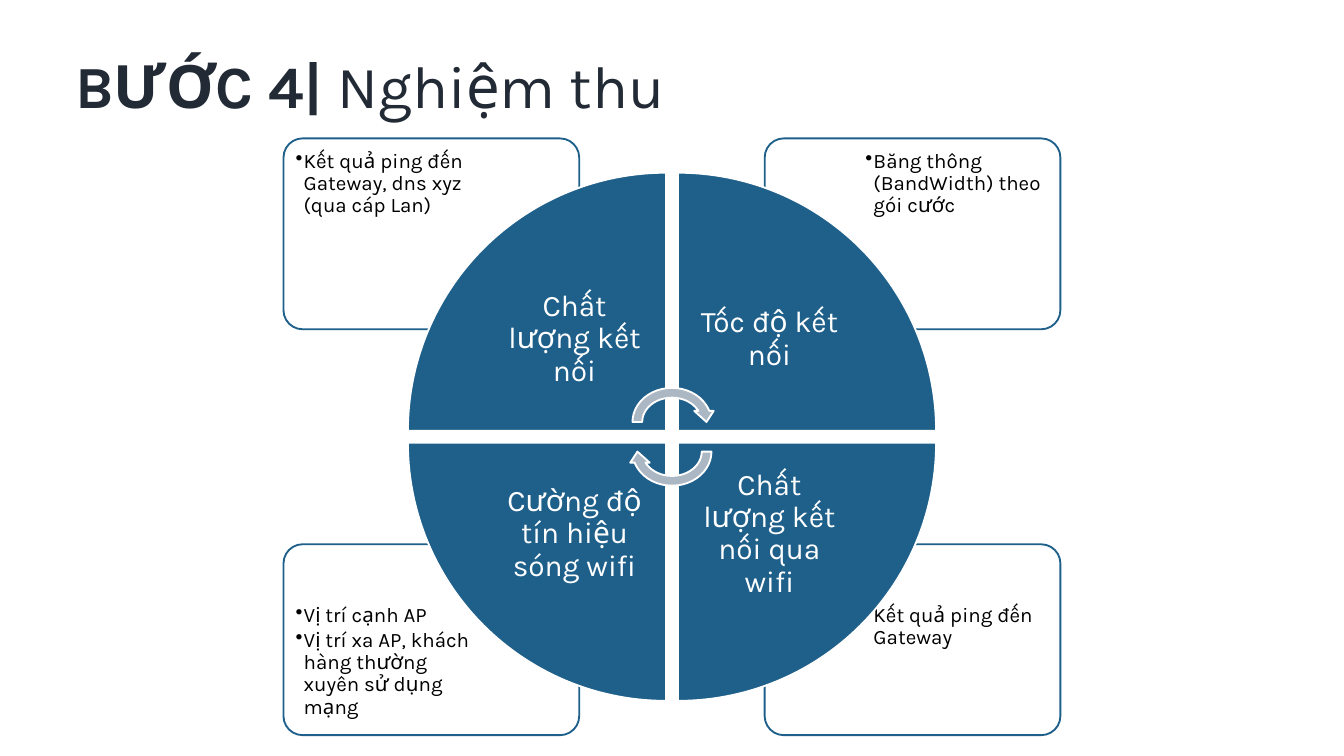
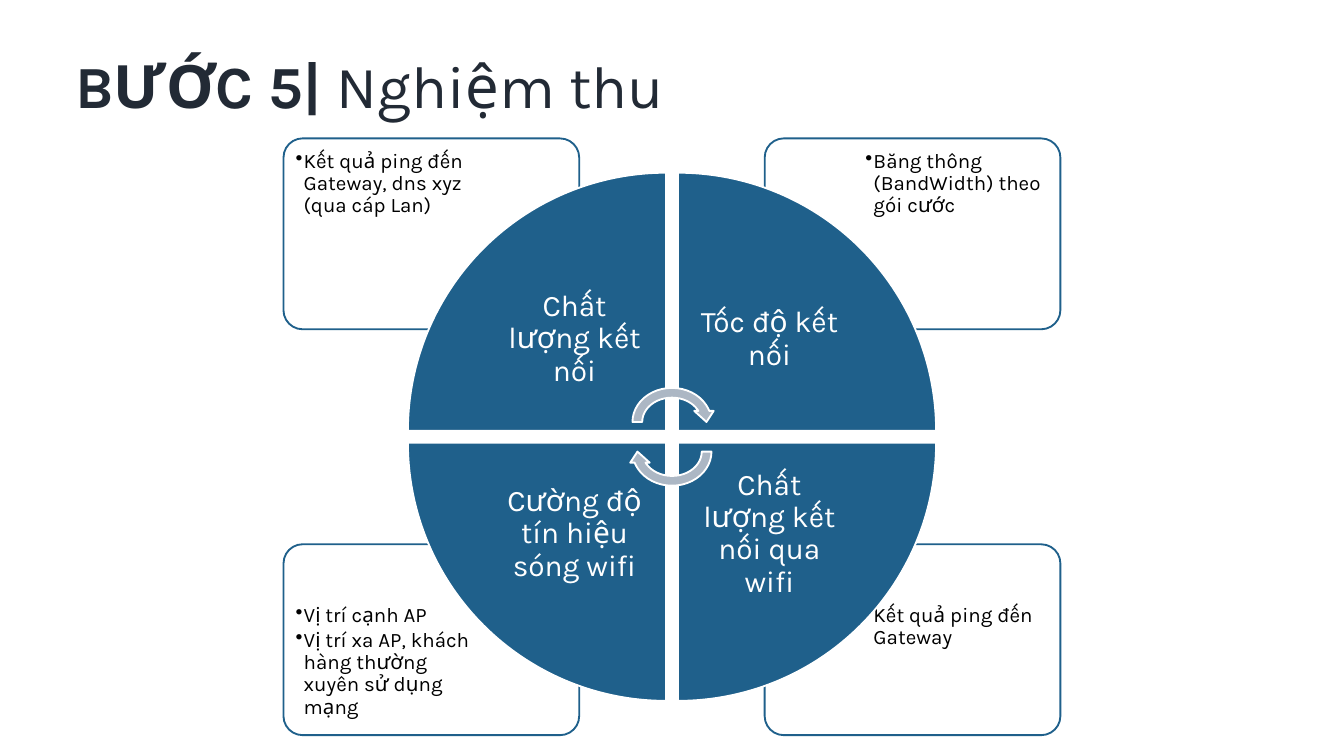
from lxml import etree
from pptx import Presentation
from pptx import util as u
from pptx.dml.color import RGBColor
from pptx.enum import shapes, text
from pptx.oxml.ns import qn

PX = 4572
SLIDE_SIZE = (2000, 1125)
TITLE_BOX = (92, 62, 1816, 128)
DIAGRAM_BOX = (422, 206, 1156, 888)
CARD_SIZE = (440, 284)
NOTE_SIZE = (294, 200)
NOTE_LEFTS, NOTE_TOPS = (6, 138), (6, 78)
WEDGE_SIZE, WEDGE_GAP, LABEL_SIZE = 384, 18, 272
ARROW_SIZE, ARROW_SHIFT = (132, 116), 22
NOTE_INSET, LABEL_INSET, BULLET_INDENT = 12, 24, 12

BLUE, WHITE, GREY, INK, BLACK = "1F608B", "FFFFFF", "ACB7C4", "222A35", "000000"
TITLE_FONT = {"name": "Karla", "size": u.Pt(32)}
LABEL_FONT = {"name": "Karla", "size": u.Pt(16)}
NOTE_FONT = {"name": "Karla", "size": u.Pt(11)}
LABEL_PARAGRAPH = {"alignment": text.PP_ALIGN.CENTER, "line_spacing": 0.9, "space_after": u.Pt(5)}
NOTE_PARAGRAPH = {"level": 1, "alignment": text.PP_ALIGN.LEFT, "line_spacing": 0.9, "space_after": u.Pt(1.6)}

TITLES = [("BƯỚC 4| ", "Nghiệm thu"), ("BƯỚC 5| ", "Nghiệm thu")]
QUADRANTS = [
    (0, 0, 0, "Chất lượng kết nối", ["Kết quả ping đến Gateway, dns xyz (qua cáp Lan)"]),
    (1, 0, 90, "Tốc độ kết nối", ["Băng thông (BandWidth) theo gói cước"]),
    (1, 1, 180, "Chất lượng kết nối qua wifi", ["Kết quả ping đến Gateway"]),
    (0, 1, 270, "Cường độ tín hiệu sóng wifi",
     ["Vị trí cạnh AP", "Vị trí xa AP, khách hàng thường xuyên sử dụng mạng"]),
]


def color(value):
    """Turn a hex string into a colour."""
    return RGBColor.from_string(value)


def emu(box):
    """Turn lengths in px into EMU."""
    return [u.Emu(length * PX) for length in box]


def apply_format(target, values):
    """Set each attribute named in values on target."""
    for name, value in values.items():
        setattr(target, name, value)


def add_run(paragraph, content, font, ink, bold=False):
    """Append a formatted run to a paragraph."""
    run = paragraph.add_run()
    run.text = content
    apply_format(run.font, {**font, "bold": bold})
    run.font.color.rgb = color(ink)


def add_outlined(slide, kind, box, fill, line, rotation=0):
    """Add a filled preset shape with a one-point outline."""
    shape = slide.shapes.add_shape(kind, *emu(box))
    shape.shadow.inherit = False
    shape.rotation = rotation
    shape.fill.solid()
    shape.fill.fore_color.rgb = color(fill)
    shape.line.color.rgb = color(line)
    shape.line.width = u.Pt(1)
    return shape


def add_bullet(paragraph, indent):
    """Give a paragraph a hanging round bullet."""
    properties = paragraph._p.get_or_add_pPr()
    properties.set("marL", str(indent * PX))
    properties.set("indent", str(-indent * PX))
    etree.SubElement(properties, qn("a:buChar")).set("char", "•")


def add_text(slide, box, lines, font, ink, inset, anchor, paragraph_format, bullet=0):
    """Add a wrapping text box with one paragraph for each line."""
    frame = slide.shapes.add_textbox(*emu(box)).text_frame
    margins = {f"margin_{side}": u.Emu(inset * PX) for side in ("left", "top", "right", "bottom")}
    apply_format(frame, {"word_wrap": True, "vertical_anchor": anchor, **margins})
    for index, line in enumerate(lines):
        paragraph = frame.add_paragraph() if index else frame.paragraphs[0]
        if bullet:
            add_bullet(paragraph, bullet)
        apply_format(paragraph, paragraph_format)
        add_run(paragraph, line, font, ink)


def add_title(slide, box, step, topic):
    """Fill the title placeholder with a bold step and a plain topic."""
    title = slide.shapes.title
    apply_format(title, dict(zip(("left", "top", "width", "height"), emu(box))))
    frame = title.text_frame
    apply_format(frame, {"word_wrap": True, "vertical_anchor": text.MSO_ANCHOR.TOP,
                         "auto_size": text.MSO_AUTO_SIZE.SHAPE_TO_FIT_TEXT})
    paragraph = frame.paragraphs[0]
    paragraph.alignment = text.PP_ALIGN.LEFT
    add_run(paragraph, step, TITLE_FONT, INK, bold=True)
    add_run(paragraph, topic, TITLE_FONT, INK)


def add_card(slide, box, column, row, notes):
    """Add a corner card whose notes sit on its outer side."""
    left, top, width, height = box
    card_width, card_height = CARD_SIZE
    card_left = left + column * (width - card_width)
    card_top = top + row * (height - card_height)
    card = add_outlined(slide, shapes.MSO_SHAPE.ROUNDED_RECTANGLE,
                        (card_left, card_top, *CARD_SIZE), WHITE, BLUE)
    card.adjustments[0] = 0.1
    fill_color = card._element.spPr.find(qn("a:solidFill"))[0]
    etree.SubElement(fill_color, qn("a:alpha")).set("val", "90000")
    note_box = (card_left + NOTE_LEFTS[column], card_top + NOTE_TOPS[row], *NOTE_SIZE)
    add_text(slide, note_box, notes, NOTE_FONT, BLACK, NOTE_INSET,
             text.MSO_ANCHOR.TOP, NOTE_PARAGRAPH, BULLET_INDENT)


def add_wedge(slide, box, column, row, rotation, label):
    """Add a quarter of the disc with its label near the centre."""
    left, top, width, height = box
    step = WEDGE_SIZE + WEDGE_GAP
    disc = WEDGE_SIZE + step
    wedge_left = left + (width - disc) // 2 + column * step
    wedge_top = top + (height - disc) // 2 + row * step
    add_outlined(slide, shapes.MSO_SHAPE.PIE_WEDGE,
                 (wedge_left, wedge_top, WEDGE_SIZE, WEDGE_SIZE), BLUE, WHITE, rotation)
    inward = WEDGE_SIZE - LABEL_SIZE
    label_box = (wedge_left + (1 - column) * inward, wedge_top + (1 - row) * inward, LABEL_SIZE, LABEL_SIZE)
    add_text(slide, label_box, [label], LABEL_FONT, WHITE, LABEL_INSET,
             text.MSO_ANCHOR.MIDDLE, LABEL_PARAGRAPH)


def add_cycle_arrows(slide, box):
    """Add the two turning arrows at the centre of the box."""
    left, top, width, height = box
    arrow_width, arrow_height = ARROW_SIZE
    arrow_left = left + (width - arrow_width) // 2
    arrow_top = top + (height - arrow_height) // 2
    for shift, rotation in ((-ARROW_SHIFT, 0), (ARROW_SHIFT, 180)):
        add_outlined(slide, shapes.MSO_SHAPE.CIRCULAR_ARROW,
                     (arrow_left, arrow_top + shift, *ARROW_SIZE), GREY, WHITE, rotation)


def add_diagram(slide, box):
    """Add the cards, then the disc and its arrows over them."""
    for column, row, _, _, notes in sorted(QUADRANTS, key=lambda item: (item[1], item[0]), reverse=True):
        add_card(slide, box, column, row, notes)
    for column, row, rotation, label, _ in QUADRANTS:
        add_wedge(slide, box, column, row, rotation, label)
    add_cycle_arrows(slide, box)


def main():
    """Build and save the presentation."""
    presentation = Presentation()
    presentation.slide_width, presentation.slide_height = emu(SLIDE_SIZE)
    for step, topic in TITLES:
        slide = presentation.slides.add_slide(presentation.slide_layouts[5])
        add_title(slide, TITLE_BOX, step, topic)
        add_diagram(slide, DIAGRAM_BOX)
    presentation.save("out.pptx")


if __name__ == "__main__":
    main()
